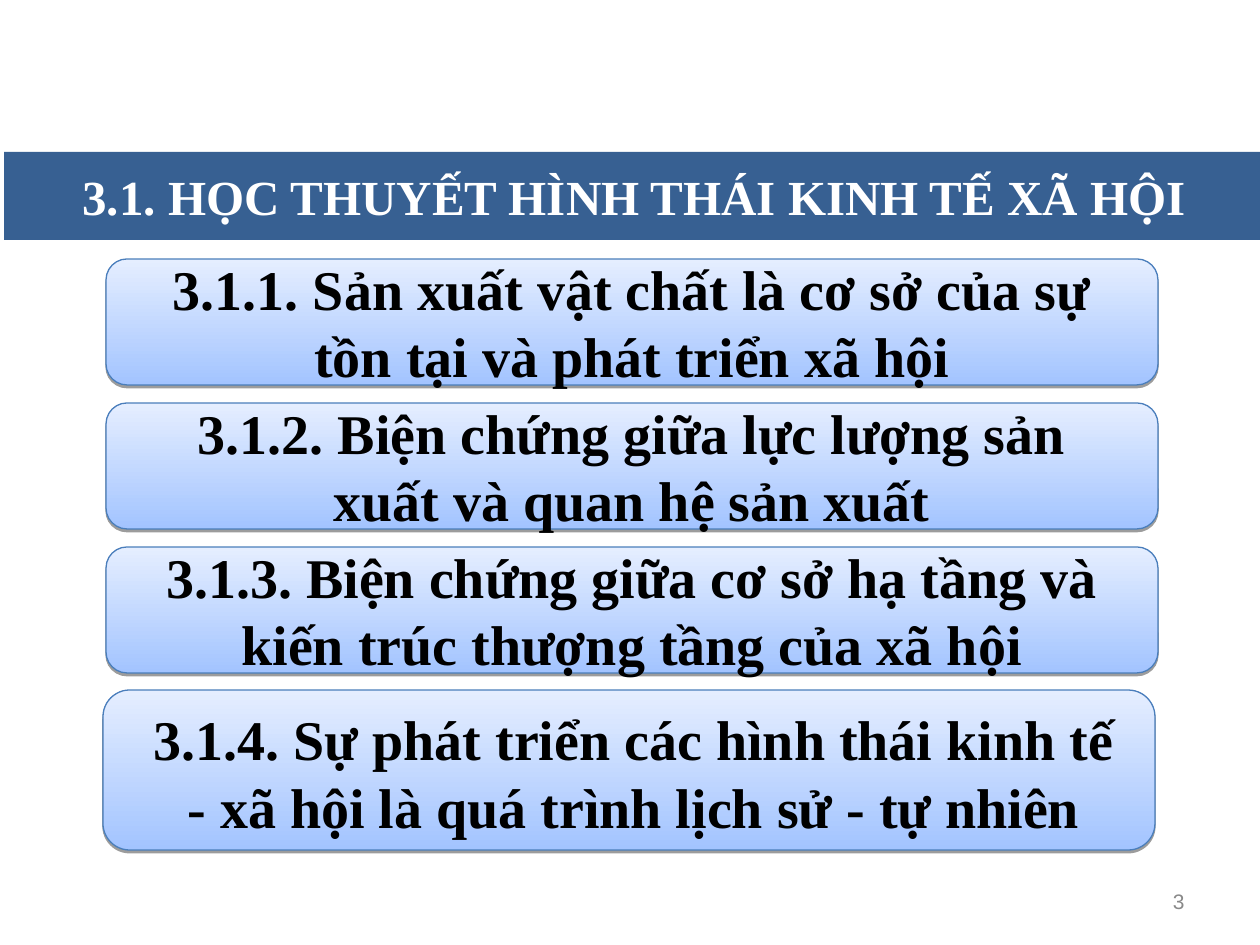
from dataclasses import dataclass

from lxml.etree import SubElement
from pptx import Presentation
from pptx.dml.color import RGBColor
from pptx.enum.shapes import MSO_SHAPE as Shape
from pptx.enum.text import MSO_ANCHOR as Anchor, MSO_AUTO_SIZE as AutoSize, PP_ALIGN as Align
from pptx.oxml.ns import qn
from pptx.text.text import TextFrame
from pptx.util import Emu, Pt

PX_PER_INCH = 126
SERIF = "Times New Roman"


def px(length: int) -> Emu:
    return Emu(round(length * 914400 / PX_PER_INCH))


def color(value: str) -> RGBColor:
    return RGBColor.from_string(value)


@dataclass(frozen=True)
class Box:
    left: int
    top: int
    width: int
    height: int

    def lengths(self) -> tuple[Emu, ...]:
        return tuple(px(n) for n in (self.left, self.top, self.width, self.height))


@dataclass(frozen=True)
class Style:
    size: int
    color: str
    font: str = SERIF
    bold: bool = True
    align: Align = Align.CENTER


@dataclass(frozen=True)
class Section:
    text: str
    card: Box
    label: Box


TITLE_STYLE = Style(28, "FFFFFF")
SECTION_STYLE = Style(32, "000000")
NUMBER_STYLE = Style(12, "898989", "Arial", False, Align.RIGHT)

CARD_LEFT, CARD_TOP, CARD_STEP = 106, 259, 144
CARD_WIDTH, CARD_HEIGHT = 1052, 126
LABEL_INSET = 6

SHORT_SECTIONS = (
    "3.1.1. Sản xuất vật chất là cơ sở của sự tồn tại và phát triển xã hội",
    "3.1.2. Biện chứng giữa lực lượng sản xuất và quan hệ sản xuất",
    "3.1.3. Biện chứng giữa cơ sở hạ tầng và kiến trúc thượng tầng của xã hội",
)
LAST_SECTION = Section(
    "3.1.4. Sự phát triển các hình thái kinh tế - xã hội là quá trình lịch sử - tự nhiên",
    Box(103, CARD_TOP + 3 * CARD_STEP - 1, CARD_WIDTH, 160),
    Box(109, CARD_TOP + 3 * CARD_STEP + 1, 1050, 160),
)


def short_section(index: int, text: str) -> Section:
    top = CARD_TOP + index * CARD_STEP
    return Section(
        text,
        Box(CARD_LEFT, top, CARD_WIDTH, CARD_HEIGHT),
        Box(CARD_LEFT + LABEL_INSET, top + LABEL_INSET,
            CARD_WIDTH - 2 * LABEL_INSET, CARD_HEIGHT - 2 * LABEL_INSET),
    )


def write(frame: TextFrame, text: str, style: Style) -> None:
    frame.word_wrap = True
    frame.auto_size = AutoSize.NONE
    frame.vertical_anchor = Anchor.MIDDLE
    para = frame.paragraphs[0]
    para.alignment = style.align
    span = para.add_run()
    span.text = text
    span.font.name = style.font
    span.font.size = Pt(style.size)
    span.font.bold = style.bold
    span.font.color.rgb = color(style.color)


def add_shadow(shape) -> None:
    """Give the shape a hard shadow just below it."""
    shape.shadow.inherit = False
    effects = shape._element.spPr.find(qn("a:effectLst"))
    shadow = SubElement(effects, qn("a:outerShdw"), blurRad="0", dist="20000",
                        dir="5400000", rotWithShape="0")
    shade = SubElement(shadow, qn("a:srgbClr"), val="000000")
    SubElement(shade, qn("a:alpha"), val="38000")


def add_section(page, section: Section) -> None:
    group = page.shapes.add_group_shape()
    card = group.shapes.add_shape(Shape.ROUNDED_RECTANGLE, *section.card.lengths())
    card.fill.gradient()
    card.fill.gradient_angle = 90
    for stop, position, value in zip(card.fill.gradient_stops, (0, 1), ("A3C4FF", "E5EEFF")):
        stop.position = position
        stop.color.rgb = color(value)
    card.line.color.rgb = color("4A7EBB")
    card.line.width = Pt(0.75)
    add_shadow(card)

    frame = group.shapes.add_textbox(*section.label.lengths()).text_frame
    frame.margin_left = frame.margin_right = px(29)
    frame.margin_top = frame.margin_bottom = 0
    write(frame, section.text, SECTION_STYLE)


def add_title(page, text: str) -> None:
    title = page.shapes.title
    title.left, title.top, title.width, title.height = Box(4, 152, 1260, 88).lengths()
    title.fill.solid()
    title.fill.fore_color.rgb = color("376092")
    write(title.text_frame, text, TITLE_STYLE)


def main() -> None:
    deck = Presentation()
    deck.slide_width, deck.slide_height = px(1260), px(945)
    page = deck.slides.add_slide(deck.slide_layouts.get_by_name("Title Only"))

    add_title(page, "3.1. HỌC THUYẾT HÌNH THÁI KINH TẾ XÃ HỘI")
    for index, text in enumerate(SHORT_SECTIONS):
        add_section(page, short_section(index, text))
    add_section(page, LAST_SECTION)

    number = page.shapes.add_textbox(*Box(903, 876, 294, 50).lengths())
    write(number.text_frame, "3", NUMBER_STYLE)
    deck.save("out.pptx")


if __name__ == "__main__":
    main()
